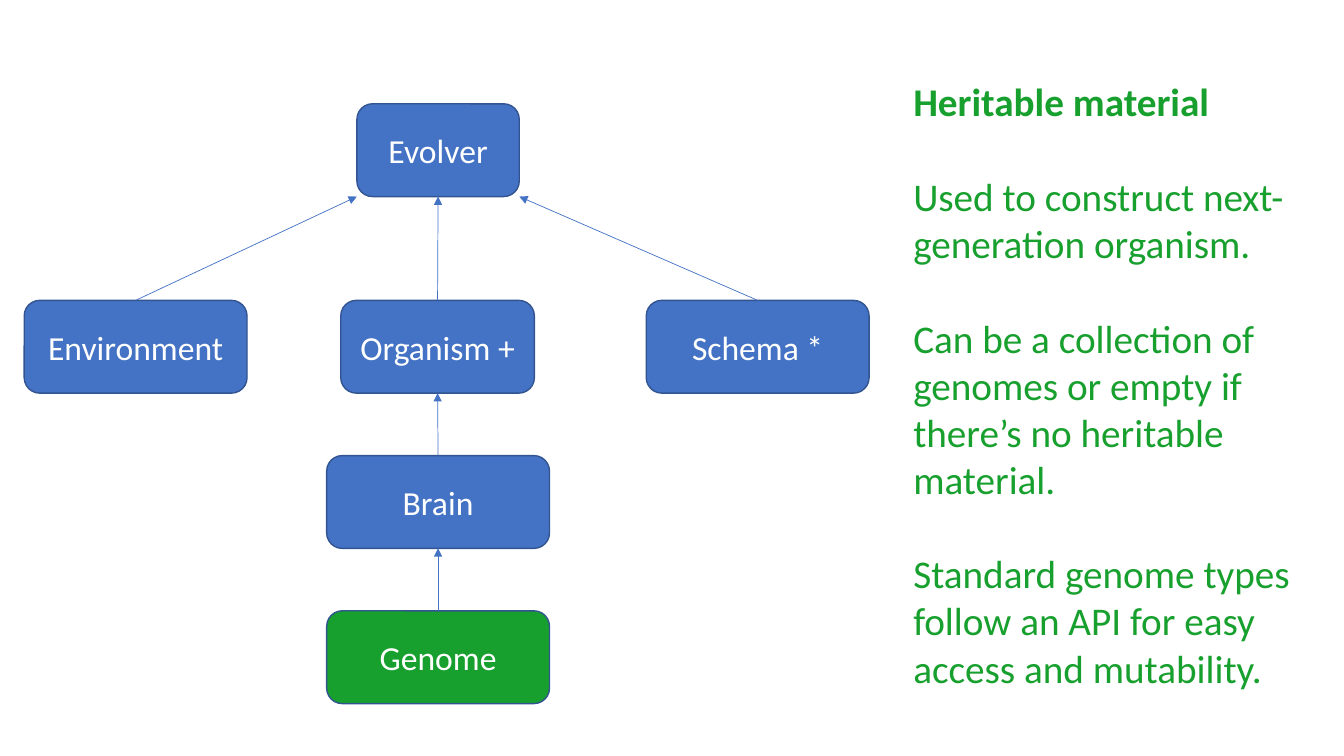
"""Build the slide showing the Evolver hierarchy and its heritable material."""
from lxml import etree
from pptx import Presentation
from pptx import util as u
from pptx.dml.color import RGBColor
from pptx.enum import shapes, text
from pptx.oxml.ns import qn

BLUE = RGBColor(0x44, 0x72, 0xC4)
OUTLINE = RGBColor(0x32, 0x54, 0x91)
GREEN = RGBColor(0x18, 0xA0, 0x2E)
WHITE = RGBColor(0xFF, 0xFF, 0xFF)


def add_run(p, words, size, color, bold=False):
    r = p.add_run()
    r.text = words
    r.font.name = "Calibri"
    r.font.size = u.Pt(size)
    r.font.bold = bold
    r.font.color.rgb = color


prs = Presentation()
prs.slide_width, prs.slide_height = u.Inches(13.33), u.Inches(7.5)
s = prs.slides.add_slide(prs.slide_layouts[6])

boxes = {}
for name, left, top, width, fill in [
    ("Evolver", 3.54, 1.03, 1.61, BLUE),
    ("Environment", 0.24, 2.98, 2.21, BLUE),
    ("Organism +", 3.38, 2.98, 1.92, BLUE),
    ("Schema *", 6.41, 2.98, 2.21, BLUE),
    ("Brain", 3.24, 4.52, 2.21, BLUE),
    ("Genome", 3.24, 6.06, 2.21, GREEN),
]:
    sp = s.shapes.add_shape(
        shapes.MSO_SHAPE.ROUNDED_RECTANGLE,
        u.Inches(left), u.Inches(top), u.Inches(width), u.Inches(0.92))
    sp.shadow.inherit = False
    sp.fill.solid()
    sp.fill.fore_color.rgb = fill
    sp.line.color.rgb = OUTLINE
    sp.line.width = u.Pt(1)
    tf = sp.text_frame
    tf.word_wrap = True
    tf.vertical_anchor = text.MSO_ANCHOR.MIDDLE
    p = tf.paragraphs[0]
    p.alignment = text.PP_ALIGN.CENTER
    add_run(p, name, 24, WHITE)
    boxes[name] = sp

evolver = boxes["Evolver"]
corners = {"Environment": evolver.left, "Schema *": evolver.left + evolver.width}
for child, parent in [
    ("Environment", "Evolver"),
    ("Organism +", "Evolver"),
    ("Schema *", "Evolver"),
    ("Brain", "Organism +"),
    ("Genome", "Brain"),
]:
    cx = s.shapes.add_connector(
        shapes.MSO_CONNECTOR.STRAIGHT, 0, 0,
        corners.get(child, 0), evolver.top + evolver.height)
    cx.begin_connect(boxes[child], 0)
    if child not in corners:
        cx.end_connect(boxes[parent], 2)
    cx.line.color.rgb = BLUE
    cx.line.width = u.Pt(0.5)
    etree.SubElement(cx.line._get_or_add_ln(), qn("a:tailEnd"), type="triangle")
    etree.SubElement(cx._element.spPr, qn("a:effectLst"))

tb = s.shapes.add_textbox(
    u.Inches(8.96), u.Inches(0.72), u.Inches(4.37), u.Inches(6.23))
tf = tb.text_frame
tf.word_wrap = True
tf.auto_size = text.MSO_AUTO_SIZE.SHAPE_TO_FIT_TEXT
for i, words in enumerate([
    "Heritable material",
    "Used to construct next-generation organism.",
    "Can be a collection of genomes or empty if there’s no heritable material.",
    "Standard genome types follow an API for easy access and mutability.",
]):
    p = tf.add_paragraph() if i else tf.paragraphs[0]
    p.space_before = u.Pt(34 if i else 0)
    add_run(p, words, 28, GREEN, bold=i == 0)

prs.save("out.pptx")
